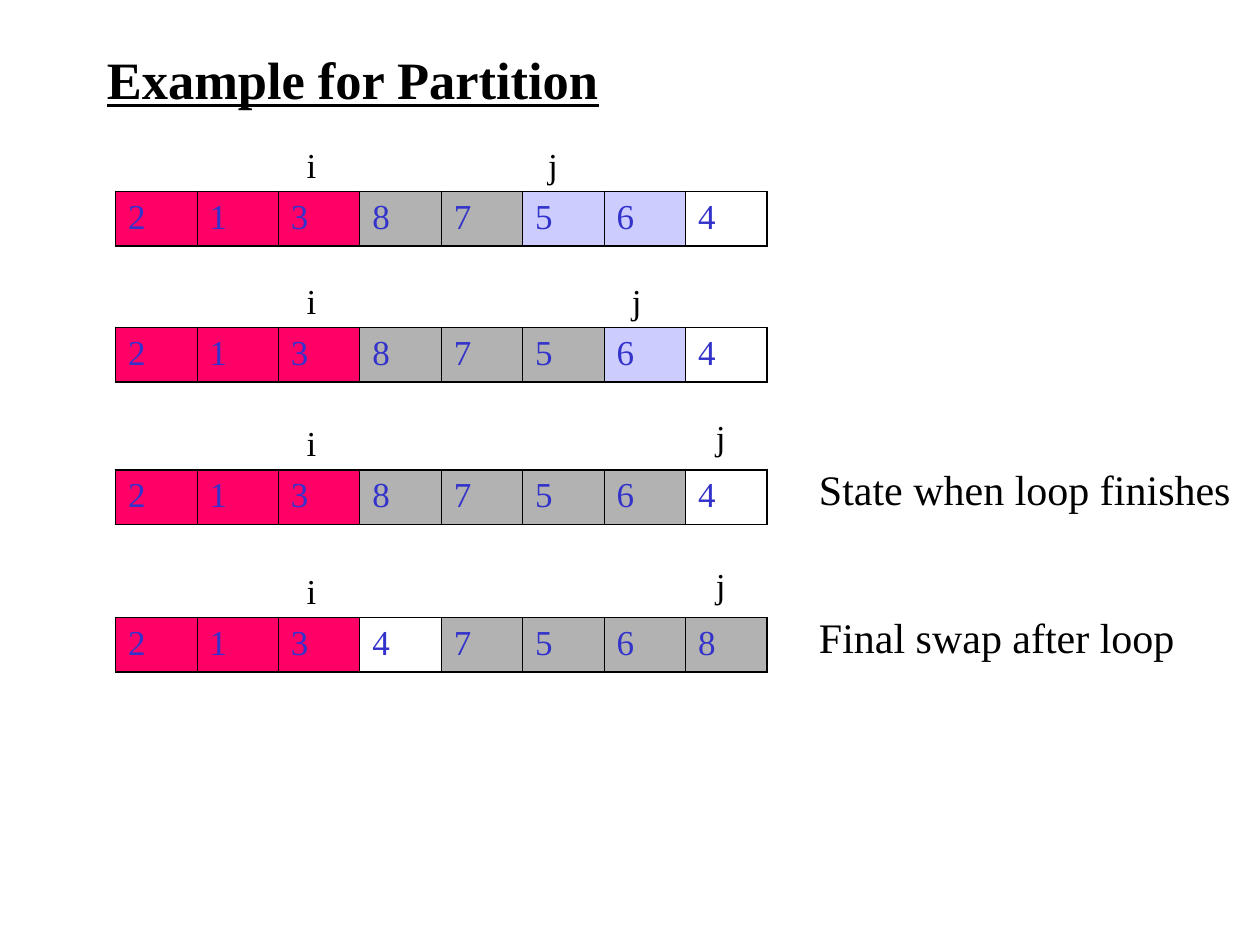
import lxml.etree
import pptx
import pptx.dml.color
import pptx.enum.text
import pptx.oxml.ns
import pptx.util

Cm = pptx.util.Cm
Pt = pptx.util.Pt

# Fill of a cell by its group: small, large, not yet seen, pivot
FILLS = {"s": "FF0066", "l": "B2B2B2", "u": "CCCCFF", "p": None}

# Row top, values, groups, left and lift of j, note
STEPS = [
    (3.86, "21387564", "ssslluup", 10.8, 1.1, None),
    (6.6, "21387564", "ssslllup", 12.49, 1.1, None),
    (9.47, "21387564", "sssllllp", 14.18, 1.22, "State when loop finishes"),
    (12.45, "21347568", "ssspllll", 14.18, 1.22, "Final swap after loop"),
]


def color(text):
    return pptx.dml.color.RGBColor.from_string(text)


class Deck:
    font = "Times New Roman"
    black = "000000"
    blue = "3333CC"
    thin, thick = 0.45, 1.08

    def __init__(self):
        self.file = pptx.Presentation()
        self.file.slide_width = Cm(25.4)
        self.file.slide_height = Cm(19.05)
        self.slide = self.file.slides.add_slide(self.file.slide_layouts[5])

    def style(self, frame, text, size, tint):
        frame.text = text
        font = frame.paragraphs[0].runs[0].font
        font.name = self.font
        font.size = Pt(size)
        font.color.rgb = color(tint)
        return font

    def title(self, text, left, top, width, height):
        shape = self.slide.shapes.title
        shape.left, shape.top = Cm(left), Cm(top)
        shape.width, shape.height = Cm(width), Cm(height)
        frame = shape.text_frame
        frame.auto_size = pptx.enum.text.MSO_AUTO_SIZE.NONE
        frame.vertical_anchor = pptx.enum.text.MSO_ANCHOR.MIDDLE
        font = self.style(frame, text, 30, self.black)
        font.bold = font.underline = True
        frame.paragraphs[0].alignment = pptx.enum.text.PP_ALIGN.LEFT

    def label(self, text, left, top, width, height, size=20, wrap=True):
        box = self.slide.shapes.add_textbox(
            Cm(left), Cm(top), Cm(width), Cm(height))
        frame = box.text_frame
        frame.word_wrap = wrap
        frame.auto_size = pptx.enum.text.MSO_AUTO_SIZE.SHAPE_TO_FIT_TEXT
        self.style(frame, text, size, self.black)

    def border(self, cell, side, width):
        qn = pptx.oxml.ns.qn
        props = cell._tc.get_or_add_tcPr()
        line = lxml.etree.SubElement(props, qn(f"a:ln{side}"), w=str(Pt(width)))
        fill = lxml.etree.SubElement(line, qn("a:solidFill"))
        lxml.etree.SubElement(fill, qn("a:srgbClr"), val=self.black)

    def array(self, values, groups, left, top, width, height):
        count = len(values)
        table = self.slide.shapes.add_table(
            1, count, Cm(left), Cm(top), Cm(width), Cm(height)).table
        table.first_row = table.horz_banding = False
        for n, (value, group) in enumerate(zip(values, groups)):
            table.columns[n].width = Cm(width / count)
            cell = table.cell(0, n)
            self.style(cell.text_frame, value, 20, self.blue)
            # Thick outside, thin between cells
            self.border(cell, "L", self.thin if n else self.thick)
            self.border(cell, "R", self.thin if n < count - 1 else self.thick)
            self.border(cell, "T", self.thick)
            self.border(cell, "B", self.thick)
            if FILLS[group]:
                cell.fill.solid()
                cell.fill.fore_color.rgb = color(FILLS[group])
            else:
                cell.fill.background()


def main():
    deck = Deck()
    deck.title("Example for Partition", 1.9, 0.85, 17.15, 1.48)

    # One array per step, with its two indices and its note
    for top, values, groups, spot, lift, note in STEPS:
        deck.array(values, groups, 2.33, top, 13.13, 1.1)
        deck.label("i", 5.93, top - 1.1, 0.71, 1.1)
        deck.label("j", spot, top - lift, 0.71, 1.1)
        if note:
            deck.label(note, 16.26, top - 0.25, 8.8, 1.28, 24, False)

    deck.file.save("out.pptx")


if __name__ == "__main__":
    main()
